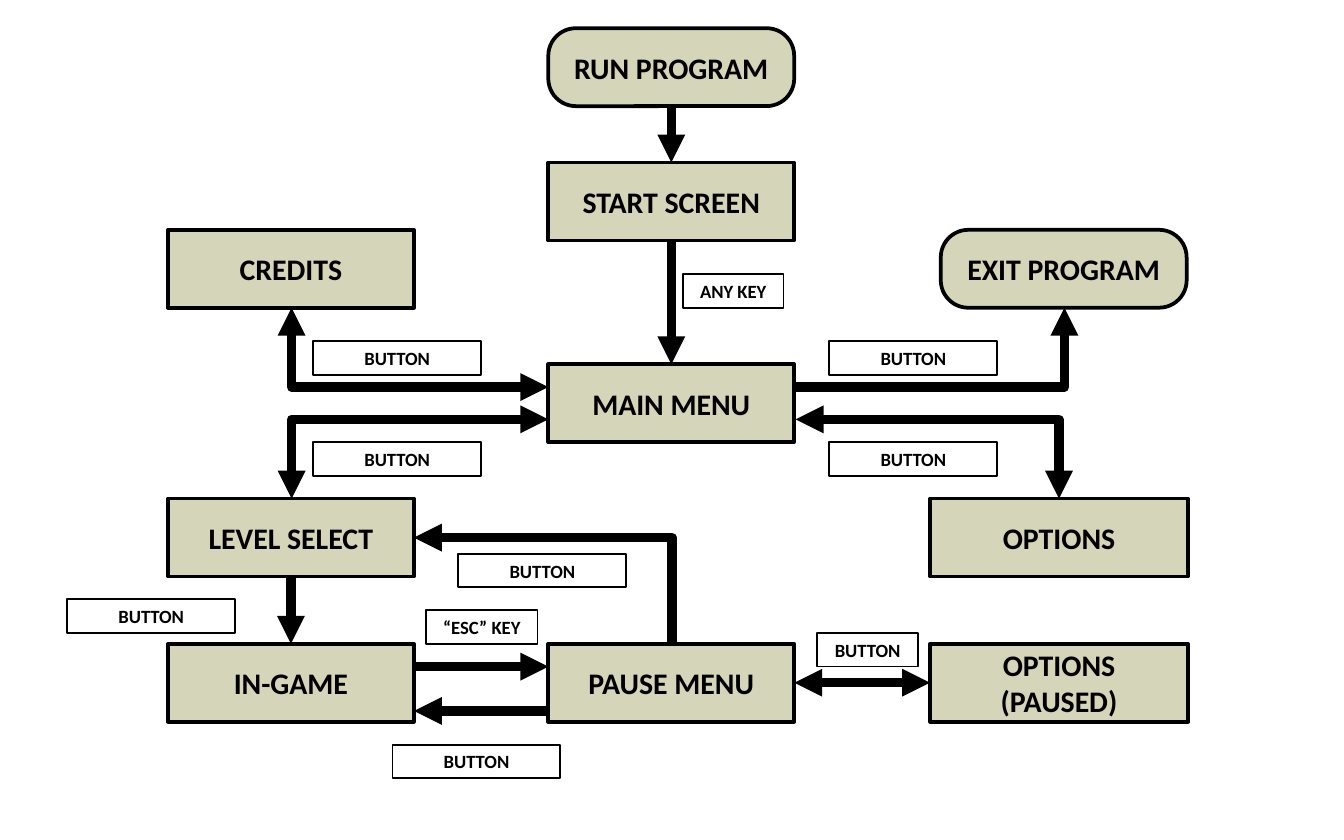
from lxml import etree
from pptx import Presentation
from pptx import util as u
from pptx.dml.color import RGBColor
from pptx.enum import shapes, text
from pptx.oxml.ns import qn

BOX_WIDTH, WIDE_BOX, BOX_HEIGHT = 1.83, 1.92, 0.58
LABEL_WIDTH, LABEL_HEIGHT = 1.25, 0.25
LEFT, MIDDLE, RIGHT = 1.25, 4.08, 6.92
TOP_SIDE, LEFT_SIDE, BOTTOM_SIDE, RIGHT_SIDE = range(4)


def color(hex_string):
    return RGBColor.from_string(hex_string)


def write(frame, words, size=16, font="Calibri", ink="000000", bold=True):
    frame.word_wrap = True
    frame.vertical_anchor = text.MSO_ANCHOR.MIDDLE
    paragraph = frame.paragraphs[0]
    paragraph.text = words
    paragraph.alignment = text.PP_ALIGN.CENTER
    paragraph.font.size = u.Pt(size)
    paragraph.font.name = font
    paragraph.font.bold = bold
    paragraph.font.color.rgb = color(ink)


class Flowchart:
    """Holds the style and the slide that is being filled."""

    ink, box_fill, label_fill = "000000", "D5D5B9", "FFFFFF"

    def __init__(self, slide):
        self.slide = slide

    def _panel(self, kind, left, top, width, height, fill, weight):
        panel = self.slide.shapes.add_shape(
            kind, *map(u.Inches, (left, top, width, height)))
        panel.shadow.inherit = False
        panel.fill.solid()
        panel.fill.fore_color.rgb = color(fill)
        panel.line.color.rgb = color(self.ink)
        panel.line.width = u.Pt(weight)
        return panel

    def screen(self, words, left, top, width=BOX_WIDTH):
        box = self._panel(shapes.MSO_SHAPE.RECTANGLE, left, top, width,
                          BOX_HEIGHT, self.box_fill, 2)
        write(box.text_frame, words)
        return box

    def terminal(self, words, left, top):
        box = self._panel(shapes.MSO_SHAPE.ROUNDED_RECTANGLE, left, top,
                          BOX_WIDTH, BOX_HEIGHT, self.box_fill, 2)
        box.adjustments[0] = 0.354
        write(box.text_frame, words)
        return box

    def label(self, words, left, top, width=LABEL_WIDTH):
        tag = self._panel(shapes.MSO_SHAPE.RECTANGLE, left, top, width,
                          LABEL_HEIGHT, self.label_fill, 1)
        write(tag.text_frame, words, size=10)

    def arrow(self, start, end, heads=("tailEnd",), bent=False):
        """Draw an arrow; a bent one runs sideways first, then up or down."""
        kind = shapes.MSO_CONNECTOR.ELBOW if bent else shapes.MSO_CONNECTOR.STRAIGHT
        arrow = self.slide.shapes.add_connector(
            kind, *map(u.Inches, (*start, *end)))
        arrow.line.color.rgb = color(self.ink)
        arrow.line.width = u.Pt(5)
        properties = arrow._element.spPr
        if bent:
            properties.find(qn("a:prstGeom")).set("prst", "bentConnector2")
        for head in heads:
            etree.SubElement(properties.find(qn("a:ln")), qn(f"a:{head}"),
                             type="triangle")
        etree.SubElement(properties, qn("a:effectLst"))
        return arrow

    def join(self, source, source_side, target, target_side, heads=("tailEnd",)):
        arrow = self.arrow((0, 0), (1, 1), heads)
        arrow.begin_connect(source, source_side)
        arrow.end_connect(target, target_side)


def main():
    deck = Presentation()
    deck.slide_width, deck.slide_height = u.Inches(10), u.Inches(6.25)
    chart = Flowchart(deck.slides.add_slide(deck.slide_layouts[6]))

    run_program = chart.terminal("RUN PROGRAM", MIDDLE, 0.21)
    start_screen = chart.screen("START SCREEN", MIDDLE, 1.21)
    main_menu = chart.screen("MAIN MENU", MIDDLE, 2.71)
    chart.screen("CREDITS", LEFT, 1.71)
    chart.terminal("EXIT PROGRAM", 7, 1.71)
    level_select = chart.screen("LEVEL SELECT", LEFT, 3.71)
    chart.screen("OPTIONS", RIGHT, 3.71, WIDE_BOX)
    in_game = chart.screen("IN-GAME", LEFT, 4.79)
    pause_menu = chart.screen("PAUSE MENU", MIDDLE, 4.79)
    paused_options = chart.screen("OPTIONS (PAUSED)", RIGHT, 4.79, WIDE_BOX)

    both = ("headEnd", "tailEnd")
    for upper, lower in ((run_program, start_screen), (start_screen, main_menu),
                         (level_select, in_game)):
        chart.join(upper, BOTTOM_SIDE, lower, TOP_SIDE)
    chart.join(pause_menu, RIGHT_SIDE, paused_options, LEFT_SIDE, both)
    chart.arrow((3.08, 4.96), (4.08, 4.96))
    chart.arrow((4.08, 5.29), (3.08, 5.29))

    for start, end, heads in (
        ((4.08, 2.88), (2.17, 2.29), both),           # credits
        ((4.08, 3.12), (2.17, 3.71), both),           # level select
        ((5.92, 2.88), (7.92, 2.29), ("tailEnd",)),   # exit program
        ((5.92, 3.12), (7.88, 3.71), both),           # options
        ((3.08, 4), (5, 4.79), ("headEnd",)),         # pause menu to level select
    ):
        chart.arrow(start, end, heads, bent=True)

    chart.label("ANY KEY", 5.08, 2.04, 0.75)
    chart.label("“ESC” KEY", 3.17, 4.54, 0.83)
    chart.label("BUTTON", 6.08, 4.71, 0.75)
    menu_labels = [(left, top) for left in (2.33, 6.17) for top in (2.54, 3.29)]
    for left, top in menu_labels + [(0.5, 4.46), (3.41, 4.12), (2.92, 5.54)]:
        chart.label("BUTTON", left, top)

    deck.save("out.pptx")


if __name__ == "__main__":
    main()
